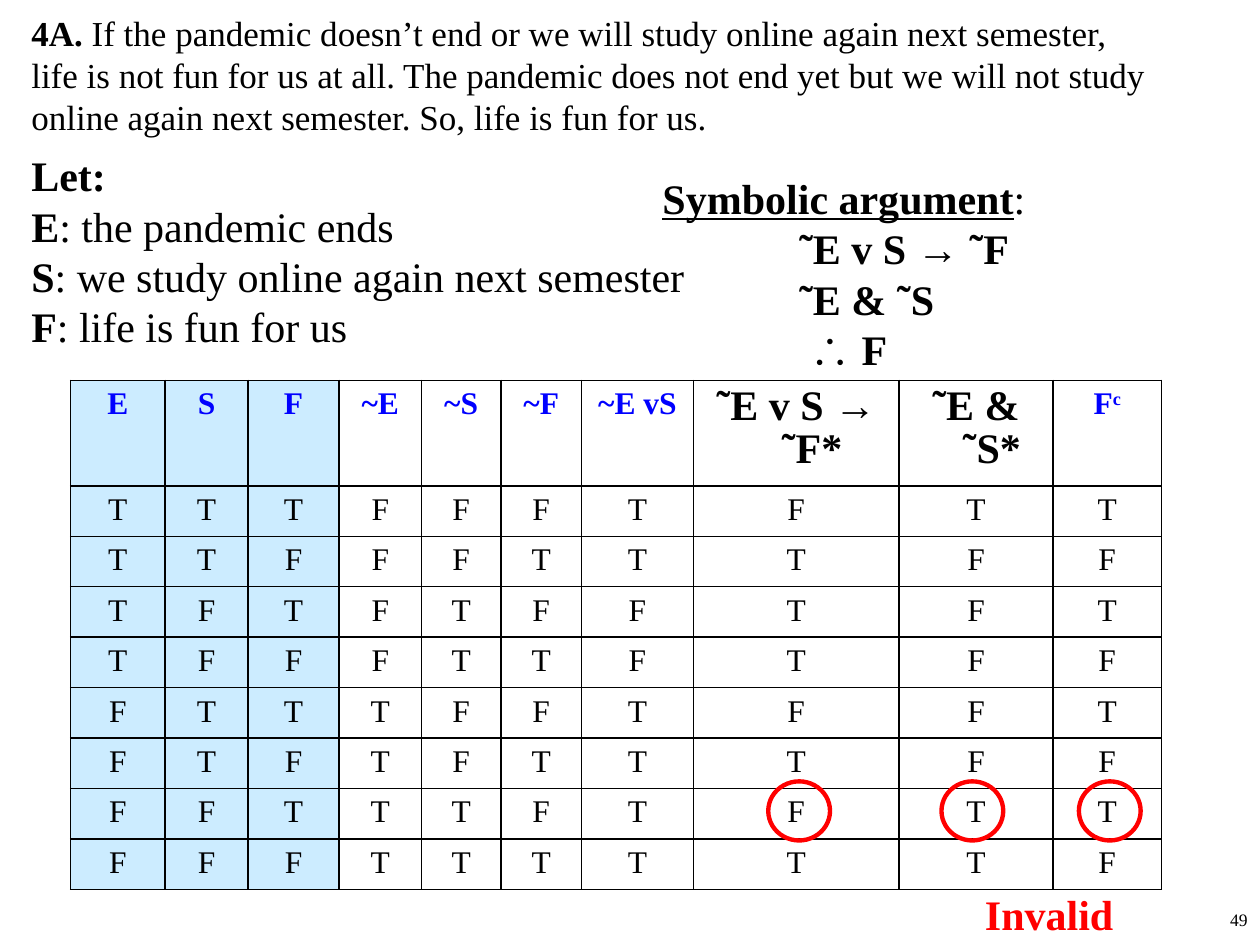
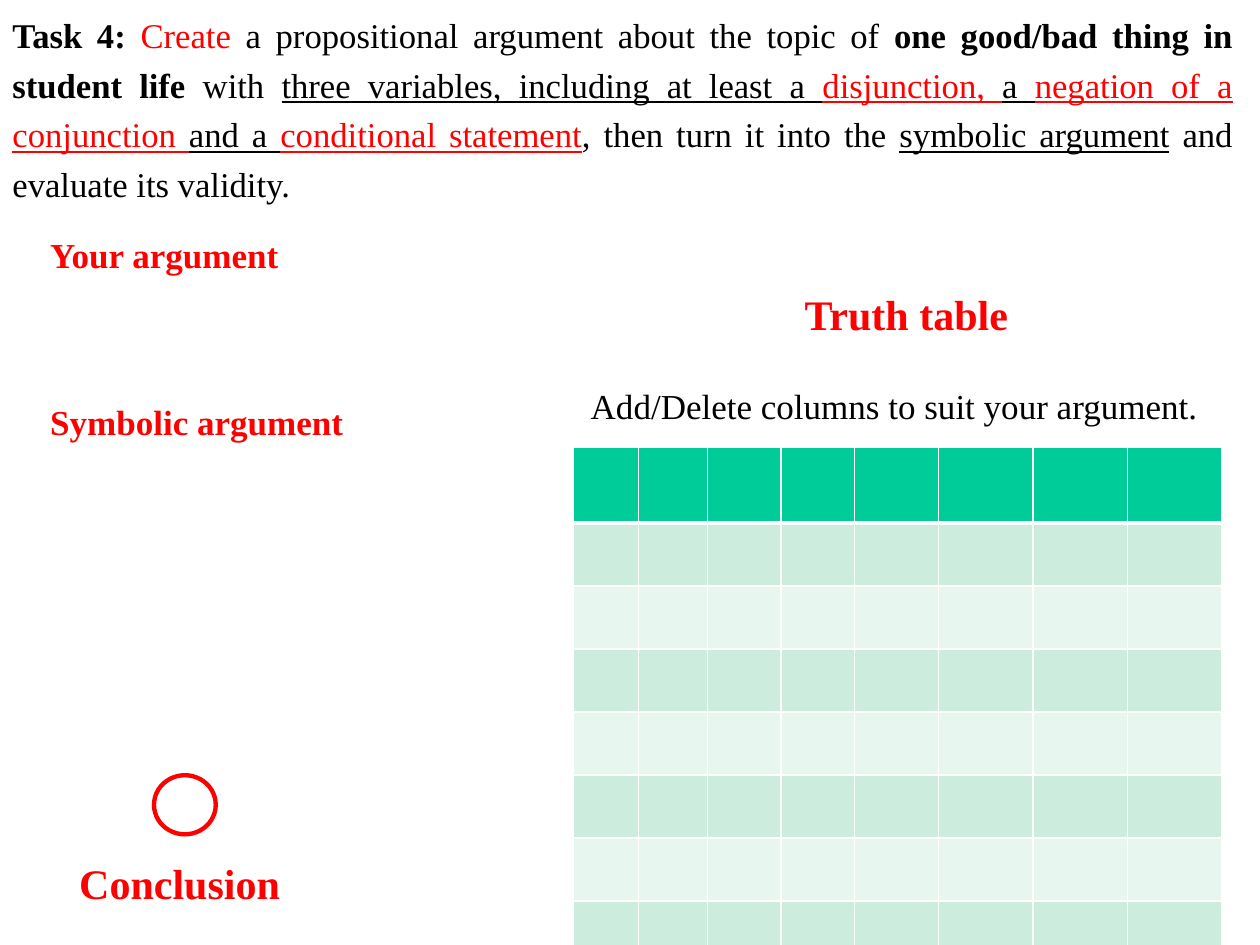
"""Build two slides on symbolic arguments and their truth tables."""
from lxml.etree import SubElement
from pptx import Presentation
from pptx.dml.color import RGBColor
from pptx.enum.shapes import MSO_SHAPE as Shape
from pptx.enum.text import MSO_ANCHOR as Anchor, PP_ALIGN as Align
from pptx.oxml.ns import qn
from pptx.util import Pt

FONT = "Times New Roman"
BLACK = RGBColor(0x00, 0x00, 0x00)
WHITE = RGBColor(0xFF, 0xFF, 0xFF)
RED = RGBColor(0xFF, 0x00, 0x00)
BLUE = RGBColor(0x00, 0x00, 0xFF)
PALE_BLUE = RGBColor(0xCC, 0xEC, 0xFF)
GREEN = RGBColor(0x00, 0xCC, 0x99)
BANDS = RGBColor(0xCC, 0xEC, 0xDE), RGBColor(0xE7, 0xF6, 0xEF)

PLAIN = {}
BOLD = {"bold": True}
UNDERLINED = {"underline": True}
RED_BOLD = {"bold": True, "color": RED}
RED_UNDERLINED = {"underline": True, "color": RED}

ARGUMENT = [[
    ("4A.", BOLD),
    (" If the pandemic doesn’t end or we will study online again next semester, "
     "life is not fun for us at all. The pandemic does not end yet but we will not "
     "study online again next semester. So, life is fun for us.", PLAIN),
]]
VARIABLES = [
    [("Let:", BOLD)],
    [("E", BOLD), (": the pandemic ends", PLAIN)],
    [("S", BOLD), (": we study online again next semester", PLAIN)],
    [("F", BOLD), (": life is fun for us", PLAIN)],
]
SYMBOLS = [
    [("Symbolic argument", {"bold": True, "underline": True}), (":", PLAIN)],
    [("˜E v S → ˜F", BOLD)],
    [("˜E & ˜S", BOLD)],
    [("∴", PLAIN), (" F", BOLD)],
]
SYMBOL_INDENTS = [0, 78, 78, 84]
TASK = [[
    ("Task 4: ", BOLD),
    ("Create", {"color": RED}),
    (" a propositional argument about the topic of ", PLAIN),
    ("one good/bad thing in student life ", BOLD),
    ("with ", PLAIN),
    ("three variables, including at least a ", UNDERLINED),
    ("disjunction, ", RED_UNDERLINED),
    ("a ", UNDERLINED),
    ("negation of a conjunction ", RED_UNDERLINED),
    ("and a ", UNDERLINED),
    ("conditional statement", RED_UNDERLINED),
    (", then turn it into the ", PLAIN),
    ("symbolic argument", UNDERLINED),
    (" and evaluate its validity.", PLAIN),
]]

HEADINGS = ["E", "S", "F", "~E", "~S", "~F", "~E vS", "˜E v S → ˜F*", "˜E & ˜S*", "F"]
PREMISES = (7, 8)
VARIABLE_COUNT = 3
TRUTH_ROWS = [
    "TTTFFFTFTT",
    "TTFFFTTTFF",
    "TFTFTFFTFT",
    "TFFFTTFTFF",
    "FTTTFFTFFT",
    "FTFTFTTTFF",
    "FFTTTFTFTT",
    "FFFTTTTTTF",
]
TRUTH_WIDTHS = [54, 47.5, 52, 47, 45.5, 46, 64, 117.5, 88, 62]
TRUTH_HEIGHTS = [32.4] + [28.8] * len(TRUTH_ROWS)
BLANK_WIDTHS = [37, 39.5, 42, 42, 48, 54, 54, 54]
BLANK_HEIGHTS = [43.2] + [26.6] * 8

CIRCLES = [(439, 446.5), (538, 446.5), (616.5, 446.5)]
EXAMPLE_CIRCLE = (88, 443)
LABELS = [
    ("Your argument", (21.6, 129.6, 171, 32), 20, RED_BOLD, Align.LEFT),
    ("Symbolic argument", (21.6, 225.4, 197, 32), 20, RED_BOLD, Align.LEFT),
    ("Truth table", (405.4, 161.3, 225, 36), 24, RED_BOLD, Align.CENTER),
    ("Conclusion", (38.2, 486.7, 225, 36), 24, RED_BOLD, Align.LEFT),
    ("Add/Delete columns to suit your argument.", (330.5, 216, 376, 32), 20, PLAIN, Align.LEFT),
]


def add_runs(paragraph, runs, size):
    for text, style in runs:
        run = paragraph.add_run()
        run.text = text
        style = {"name": FONT, "size": Pt(size), "bold": False, "color": BLACK} | style
        run.font.color.rgb = style.pop("color")
        for attribute, value in style.items():
            setattr(run.font, attribute, value)


def add_text(slide, place, paragraphs, size, align=Align.LEFT, anchor=Anchor.TOP,
             line_spacing=None, indents=()):
    frame = slide.shapes.add_textbox(*map(Pt, place)).text_frame
    frame.word_wrap = True
    frame.vertical_anchor = anchor
    for index, runs in enumerate(paragraphs):
        paragraph = frame.add_paragraph() if index else frame.paragraphs[0]
        paragraph.alignment = align
        if line_spacing:
            paragraph.line_spacing = line_spacing
        if indents:
            paragraph._p.get_or_add_pPr().set("marL", str(Pt(indents[index])))
        add_runs(paragraph, runs, size)


def add_circle(slide, left, top):
    circle = slide.shapes.add_shape(Shape.OVAL, Pt(left), Pt(top), Pt(35.3), Pt(33.8))
    circle.shadow.inherit = False
    circle.fill.background()
    circle.line.color.rgb = RED
    circle.line.width = Pt(2.5)


def add_grid(slide, left, top, widths, heights):
    place = map(Pt, (left, top, sum(widths), sum(heights)))
    table = slide.shapes.add_table(len(heights), len(widths), *place).table
    table.first_row = table.horz_banding = False
    for column, width in zip(table.columns, widths):
        column.width = Pt(width)
    for row, height in zip(table.rows, heights):
        row.height = Pt(height)
    return table


def format_cell(cell, fill, border, bottom_width=1):
    properties = cell._tc.get_or_add_tcPr()
    for side, width in {"L": 1, "R": 1, "T": 1, "B": bottom_width}.items():
        line = SubElement(properties, qn(f"a:ln{side}"), w=str(Pt(width)))
        solid = SubElement(line, qn("a:solidFill"))
        SubElement(solid, qn("a:srgbClr"), val=str(border))
    if fill is None:
        cell.fill.background()
    else:
        cell.fill.solid()
        cell.fill.fore_color.rgb = fill


def add_truth_table(slide):
    table = add_grid(slide, 40.3, 217.4, TRUTH_WIDTHS, TRUTH_HEIGHTS)
    for row, values in enumerate([HEADINGS, *TRUTH_ROWS]):
        for column, value in enumerate(values):
            cell = table.cell(row, column)
            format_cell(cell, PALE_BLUE if column < VARIABLE_COUNT else None, BLACK)
            paragraph = cell.text_frame.paragraphs[0]
            paragraph.alignment = Align.CENTER
            properties = paragraph._p.get_or_add_pPr()
            properties.set("marL", str(Pt(18)))
            properties.set("indent", str(Pt(-18)))
            is_premise = row == 0 and column in PREMISES
            if is_premise:
                paragraph.line_spacing = 0.92
            style = PLAIN if row else {"bold": True, "color": BLACK if is_premise else BLUE}
            add_runs(paragraph, [(value, style)], 24 if is_premise else 18)
    conclusion = table.cell(0, len(HEADINGS) - 1).text_frame.paragraphs[0]
    add_runs(conclusion, [("c", {"bold": True, "color": BLUE})], 18)
    conclusion.runs[-1]._r.get_or_add_rPr().set("baseline", "30000")


def add_blank_table(slide):
    table = add_grid(slide, 327.8, 255.6, BLANK_WIDTHS, BLANK_HEIGHTS)
    for row in range(len(BLANK_HEIGHTS)):
        for column in range(len(BLANK_WIDTHS)):
            cell = table.cell(row, column)
            if row:
                format_cell(cell, BANDS[(row - 1) % 2], WHITE)
            else:
                format_cell(cell, GREEN, WHITE, bottom_width=3)
            paragraph = cell.text_frame.paragraphs[0]
            end = SubElement(paragraph._p, qn("a:endParaRPr"), sz="2400")
            SubElement(end, qn("a:latin"), typeface=FONT)


def build_example(slide):
    add_text(slide, (570.2, 516.2, 149.8, 23.8), [[("49", PLAIN)]], 10, Align.RIGHT)
    add_text(slide, (371.5, 95, 348.5, 124), SYMBOLS, 24, indents=SYMBOL_INDENTS)
    add_text(slide, (10.8, 82, 398, 152.6), VARIABLES, 24)
    add_text(slide, (10.8, 2.9, 658.8, 88.6), ARGUMENT, 20)
    add_truth_table(slide)
    add_text(slide, (555.8, 504, 132.5, 36), [[("Invalid", RED_BOLD)]], 24)
    for left, top in CIRCLES:
        add_circle(slide, left, top)


def build_task(slide):
    add_text(slide, (0, 0, 711.4, 120), TASK, 19.8, Align.JUSTIFY, Anchor.MIDDLE, 1.2)
    for text, place, size, style, align in LABELS:
        add_text(slide, place, [[(text, style)]], size, align)
    add_circle(slide, *EXAMPLE_CIRCLE)
    add_blank_table(slide)


def main():
    presentation = Presentation()
    presentation.slide_width, presentation.slide_height = Pt(720), Pt(540)
    for build in (build_example, build_task):
        build(presentation.slides.add_slide(presentation.slide_layouts[6]))
    presentation.save("out.pptx")


if __name__ == "__main__":
    main()
